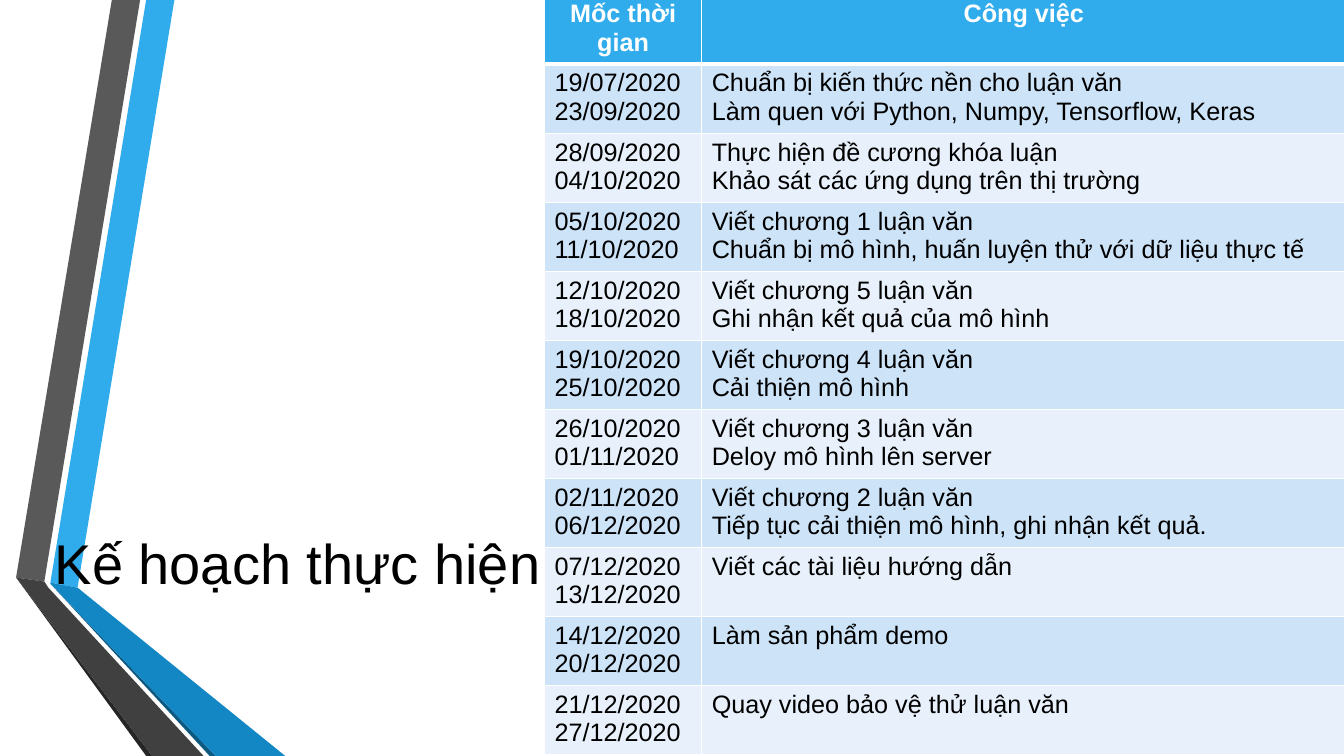
from lxml import etree
from pptx import Presentation
from pptx.dml.color import RGBColor
from pptx.enum.text import MSO_ANCHOR, PP_ALIGN
from pptx.oxml.ns import qn
from pptx.util import Inches, Pt

CENTER, LEFT = PP_ALIGN.CENTER, PP_ALIGN.LEFT
MIDDLE = MSO_ANCHOR.MIDDLE

FONT = "Arial"
BLACK = RGBColor(0x00, 0x00, 0x00)
WHITE = RGBColor(0xFF, 0xFF, 0xFF)
BLUE = RGBColor(0x30, 0xAC, 0xEC)
MID_BLUE = RGBColor(0x12, 0x87, 0xC3)
DARK_BLUE = RGBColor(0x0C, 0x5A, 0x82)
GRAY = RGBColor(0x59, 0x59, 0x59)
DARK_GRAY = RGBColor(0x40, 0x40, 0x40)
CHARCOAL = RGBColor(0x26, 0x26, 0x26)
BAND_DARK = RGBColor(0xCD, 0xE3, 0xF8)
BAND_LIGHT = RGBColor(0xE8, 0xF1, 0xFB)

RIBBONS = [
    (BLUE, [(0.5, 5.78), (0.77, 5.83), (1.73, 0), (1.45, 0)]),
    (GRAY, [(1.39, 0), (1.11, 0), (0.16, 5.73), (0.44, 5.77)]),
    (CHARCOAL, [(0.16, 5.73), (1.45, 7.5), (1.51, 7.5)]),
    (DARK_BLUE, [(0.5, 5.79), (2.08, 7.5), (2.14, 7.5)]),
    (MID_BLUE, [(0.5, 5.79), (2.14, 7.5), (2.83, 7.5), (0.77, 5.83), (0.5, 5.78)]),
    (DARK_GRAY, [(2.02, 7.5), (0.48, 5.83), (0.44, 5.77), (0.16, 5.73), (1.51, 7.5)]),
]

HEADER = ("Mốc thời gian", "Công việc")
SCHEDULE = [
    ("19/07/2020 23/09/2020",
     "Chuẩn bị kiến thức nền cho luận văn\nLàm quen với Python, Numpy, Tensorflow, Keras"),
    ("28/09/2020 04/10/2020",
     "Thực hiện đề cương khóa luận\nKhảo sát các ứng dụng trên thị trường"),
    ("05/10/2020 11/10/2020",
     "Viết chương 1 luận văn\nChuẩn bị mô hình, huấn luyện thử với dữ liệu thực tế"),
    ("12/10/2020 18/10/2020", "Viết chương 5 luận văn\nGhi nhận kết quả của mô hình"),
    ("19/10/2020 25/10/2020", "Viết chương 4 luận văn\nCải thiện mô hình"),
    ("26/10/2020 01/11/2020", "Viết chương 3 luận văn\nDeloy mô hình lên server"),
    ("02/11/2020 06/12/2020",
     "Viết chương 2 luận văn\nTiếp tục cải thiện mô hình, ghi nhận kết quả."),
    ("07/12/2020 13/12/2020", "Viết các tài liệu hướng dẫn"),
    ("14/12/2020 20/12/2020", "Làm sản phẩm demo"),
    ("21/12/2020 27/12/2020", "Quay video bảo vệ thử luận văn"),
]
COLUMN_WIDTHS = (1.56, 6.39)
TABLE_HEIGHT = 7.54


def add_ribbon(s, color, points):
    corners = [(Inches(x), Inches(y)) for x, y in points]
    builder = s.shapes.build_freeform(*corners[0])
    builder.add_line_segments(corners[1:], close=True)
    sp = builder.convert_to_shape()
    sp.shadow.inherit = False
    sp.fill.solid()
    sp.fill.fore_color.rgb = color
    sp.line.fill.background()


def format_text(tf, size, color, align, bold=False):
    for p in tf.paragraphs:
        p.alignment = align
        for r in p.runs:
            r.font.name = FONT
            r.font.size = Pt(size)
            r.font.bold = bold
            r.font.color.rgb = color


def add_title(s, text):
    tf = s.shapes.add_textbox(Inches(0.39), Inches(4.85), Inches(5.12), Inches(1.45)).text_frame
    tf.word_wrap = True
    tf.vertical_anchor = MIDDLE
    tf.text = text
    format_text(tf, 40, BLACK, CENTER)


def set_borders(cell, top, bottom):
    """Draw white cell borders; top and bottom widths are in points."""
    tcPr = cell._tc.get_or_add_tcPr()
    sides = (("a:lnL", 1), ("a:lnR", 1), ("a:lnT", top), ("a:lnB", bottom))
    for i, (tag, width) in enumerate(sides):
        ln = etree.Element(qn(tag), w=str(Pt(width)))
        fill = etree.SubElement(ln, qn("a:solidFill"))
        etree.SubElement(fill, qn("a:srgbClr"), val=str(WHITE))
        tcPr.insert(i, ln)


def fill_cell(cell, text, row):
    is_header = row == 0
    cell.text_frame.text = text
    cell.margin_top = Inches(0.05)
    cell.margin_bottom = Inches(0.01)
    cell.fill.solid()
    if is_header:
        cell.fill.fore_color.rgb = BLUE
        format_text(cell.text_frame, 18, WHITE, CENTER, bold=True)
    else:
        cell.fill.fore_color.rgb = BAND_DARK if row % 2 else BAND_LIGHT
        format_text(cell.text_frame, 18, BLACK, LEFT)
    set_borders(cell, top=3 if row == 1 else 1, bottom=3 if is_header else 1)


def add_schedule(s):
    rows = [HEADER] + SCHEDULE
    table = s.shapes.add_table(len(rows), len(HEADER), Inches(5.4), Inches(-0.05),
                               Inches(sum(COLUMN_WIDTHS)), Inches(TABLE_HEIGHT)).table
    for column, width in zip(table.columns, COLUMN_WIDTHS):
        column.width = Inches(width)
    for i, texts in enumerate(rows):
        for j, text in enumerate(texts):
            fill_cell(table.cell(i, j), text, i)


def main():
    prs = Presentation()
    prs.slide_width, prs.slide_height = Inches(13.33), Inches(7.5)
    s = prs.slides.add_slide(prs.slide_layouts[6])
    for color, points in RIBBONS:
        add_ribbon(s, color, points)
    add_title(s, "Kế hoạch thực hiện")
    add_schedule(s)
    prs.save("out.pptx")


if __name__ == "__main__":
    main()
